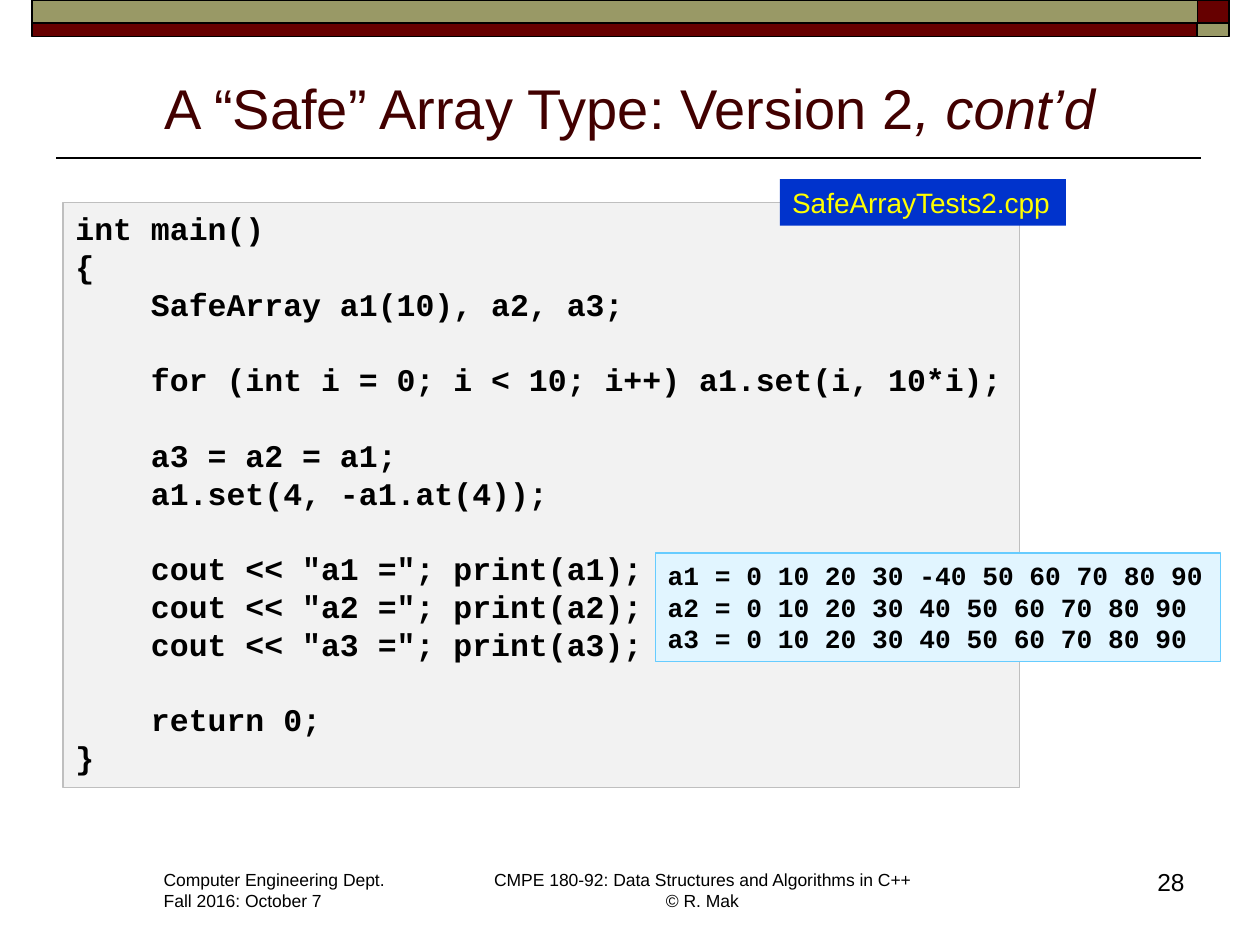
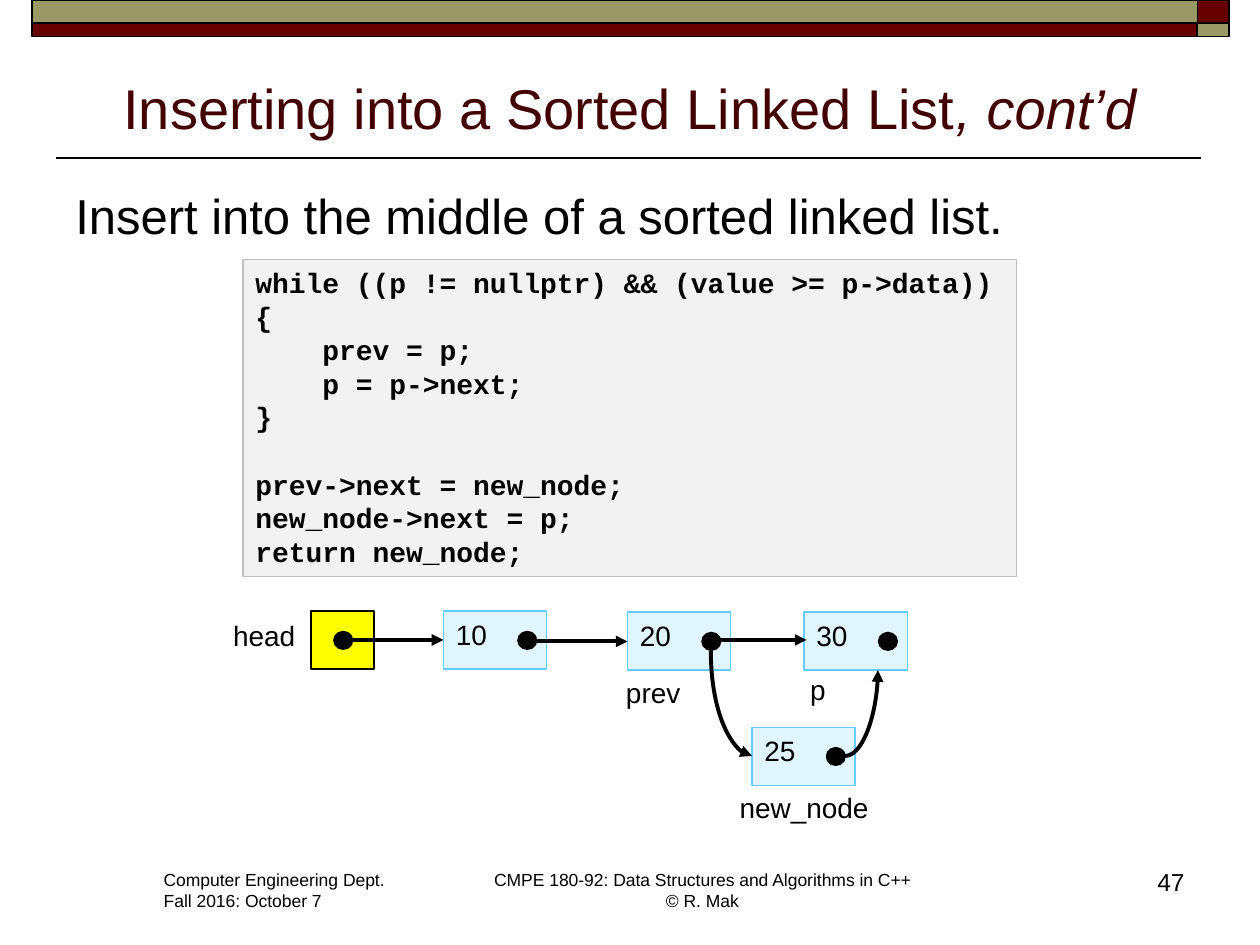
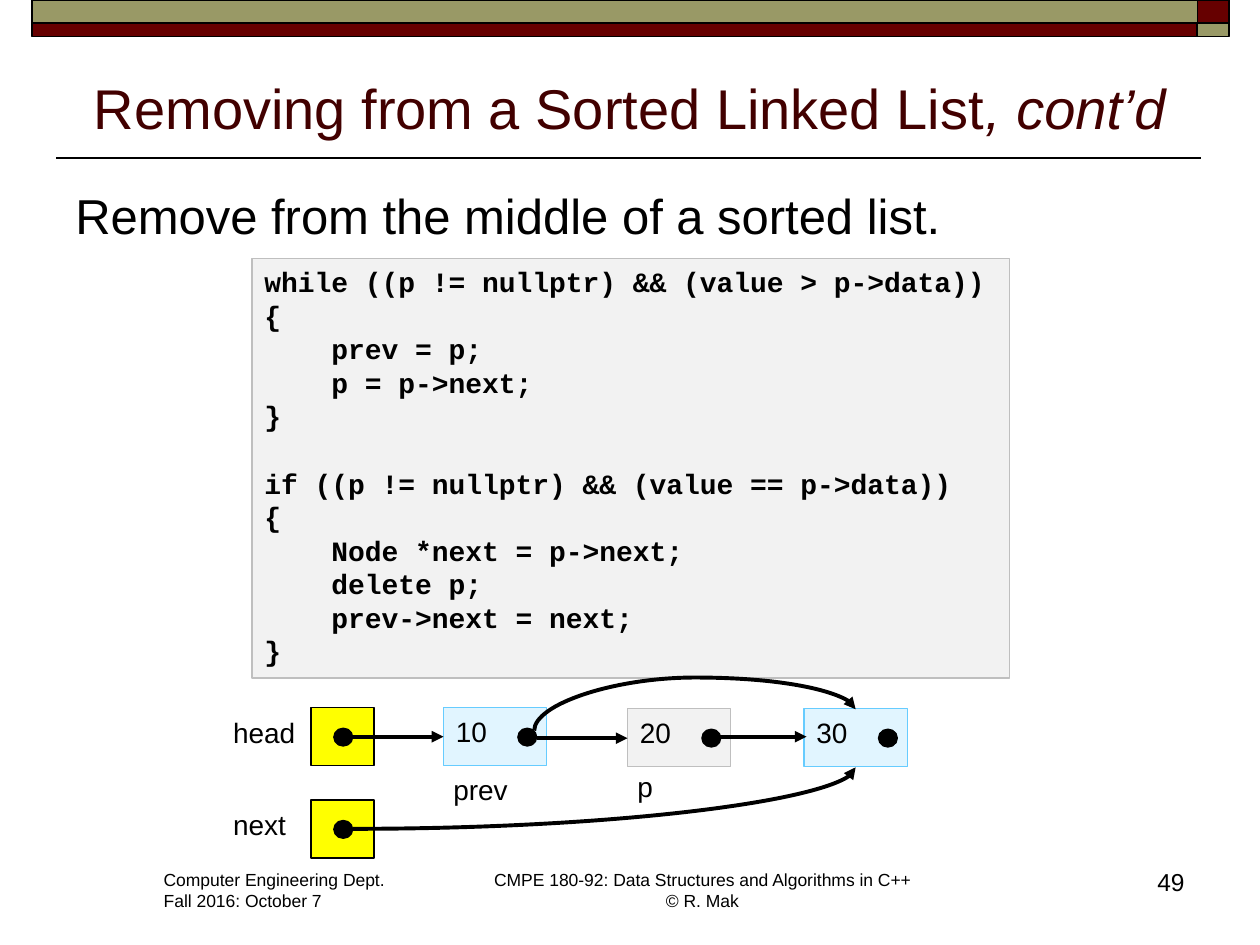
from lxml import etree
from pptx import Presentation
from pptx.dml.color import RGBColor
from pptx.enum import shapes, text
from pptx.oxml import ns
from pptx.util import Cm, Pt

RECT, OVAL = shapes.MSO_SHAPE.RECTANGLE, shapes.MSO_SHAPE.OVAL
LEFT, CENTER, RIGHT = text.PP_ALIGN.LEFT, text.PP_ALIGN.CENTER, text.PP_ALIGN.RIGHT

MAROON, OLIVE, TITLE, BLACK = "660000", "999966", "420000", "000000"
YELLOW, BLUE = "FFFF00", "0033CC"
GRAY_BOX = ("F2F2F2", "BFBFBF")
SKY_BOX = ("E1F5FF", "66CCFF")

# Content: positions and sizes are in centimetres
BANDS = [
    ((24.13, 0, 0.64, 0.46), MAROON), ((0.64, 0, 23.5, 0.46), OLIVE),
    ((0.64, 0.46, 23.5, 0.28), MAROON), ((24.13, 0.46, 0.64, 0.28), OLIVE),
]
FOOTERS = [
    ("Computer Engineering Dept.\nFall 2016: October 7", (3.05, 17.4, 5.03, 1.12), LEFT),
    ("CMPE 180-92: Data Structures and Algorithms in C++\v© R. Mak",
     (9.65, 17.4, 9.02, 1.12), CENTER),
]

TEST_CODE = """int main()
{
    SafeArray a1(10), a2, a3;

    for (int i = 0; i < 10; i++) a1.set(i, 10*i);

    a3 = a2 = a1;
    a1.set(4, -a1.at(4));

    cout << "a1 ="; print(a1);
    cout << "a2 ="; print(a2);
    cout << "a3 ="; print(a3);

    return 0;
}"""
TEST_OUTPUT = """a1 = 0 10 20 30 -40 50 60 70 80 90
a2 = 0 10 20 30 40 50 60 70 80 90
a3 = 0 10 20 30 40 50 60 70 80 90"""
INSERT_CODE = """while ((p != nullptr) && (value >= p->data))
{
    prev = p;
    p = p->next;
}

prev->next = new_node;
new_node->next = p;
return new_node;"""
REMOVE_CODE = """while ((p != nullptr) && (value > p->data))
{
    prev = p;
    p = p->next;
}

if ((p != nullptr) && (value == p->data))
{
    Node *next = p->next;
    delete p;
    prev->next = next;
}"""

# Linked list: columns shared by both diagrams, y relative to the chain's top
CHAIN = [("10", 8.94, 0), ("20", 12.65, 0.02), ("30", 16.21, 0.02)]
ARROWS = [(7.11, 0.58), (10.82, 0.61), (14.43, 0.58)]
ARROW_LENGTH = 1.83
POINTER_LEFT, NAME_LEFT = 6.27, 4.45
CELL_HEIGHT = 1.17

# Labels: text, left, top, width
INSERT_LABELS = [("new_node", 14.66, 15.82, 3.12), ("prev", 12.37, 13.49, 1.63),
                 ("p", 16.08, 13.44, 0.84)]
REMOVE_LABELS = [("prev", 8.89, 15.44, 1.63), ("p", 12.6, 15.39, 0.84)]

# Curves: start, end, quarter turns, flips, bend (None for a single bend)
INSERT_CURVES = [((14.33, 13.11), (15.16, 15.24), 3, "H", None),
                 ((17.04, 15.24), (17.7, 13.51), 0, "V", None)]
REMOVE_CURVES = [((7.11, 16.71), (17.25, 15.47), 0, "V", None),
                 ((10.77, 14.73), (17.25, 14.3), 1, "HV", 249000)]


def rgb(color):
    return RGBColor.from_string(color)


def add_xml(parent, tag, **attributes):
    return etree.SubElement(parent, ns.qn(tag), attributes)


def write(box, words, size, color=BLACK, font="Arial", bold=False, align=LEFT, wrap=False):
    frame = box.text_frame
    frame.word_wrap = wrap
    frame.vertical_anchor = text.MSO_ANCHOR.TOP
    frame.text = words
    for para in frame.paragraphs:
        para.alignment = align
        style = para.font
        style.name, style.size, style.bold = font, Pt(size), bold
        style.color.rgb = rgb(color)


def add_text(page, place, words, size, **style):
    box = page.shapes.add_textbox(*map(Cm, place))
    write(box, words, size, **style)
    return box


def add_block(page, place, fill, line=None, width=0.75, kind=RECT):
    block = page.shapes.add_shape(kind, *map(Cm, place))
    block.shadow.inherit = False
    block.fill.solid()
    block.fill.fore_color.rgb = rgb(fill)
    if line:
        block.line.color.rgb = rgb(line)
        block.line.width = Pt(width)
    else:
        block.line.fill.background()
    return block


def add_code(page, place, code, size, colors=GRAY_BOX):
    # A blank code line becomes a line break at the start of the next line
    write(add_block(page, place, *colors), code.replace("\n\n", "\n\v"), size,
          font="Courier New", bold=True)


def add_line(page, start, end, width, arrow=False, kind=shapes.MSO_CONNECTOR.STRAIGHT):
    line = page.shapes.add_connector(kind, *map(Cm, start + end))
    line.line.color.rgb = rgb(BLACK)
    line.line.width = Pt(width)
    if arrow:
        add_xml(line.line._get_or_add_ln(), "a:tailEnd", type="triangle")
    add_xml(line._element.spPr, "a:effectLst")
    return line


def add_curve(page, start, end, turns, flips, bend):
    curve = add_line(page, start, end, 2.25, True, shapes.MSO_CONNECTOR.CURVE)
    width, height = abs(end[0] - start[0]), abs(end[1] - start[1])
    middle = (start[0] + end[0]) / 2, (start[1] + end[1]) / 2
    if turns % 2:
        width, height = height, width
    curve.left, curve.top = Cm(middle[0] - width / 2), Cm(middle[1] - height / 2)
    curve.width, curve.height = Cm(width), Cm(height)
    frame = curve._element.spPr.find(ns.qn("a:xfrm"))
    frame.set("rot", str(turns * 5400000))
    for axis in "HV":
        frame.set("flip" + axis, str(int(axis in flips)))
    shape = curve._element.spPr.find(ns.qn("a:prstGeom"))
    if bend is None:
        shape.set("prst", "curvedConnector2")
    else:
        guides = shape.find(ns.qn("a:avLst"))
        add_xml(guides, "a:gd", name="adj1", fmla=f"val {bend}")


def add_cell(page, left, top, width, dot_offset, colors):
    cell = add_block(page, (left, top, width, CELL_HEIGHT), *colors)
    add_block(page, (left + dot_offset, top + 0.41, 0.38, 0.36), BLACK, BLACK, kind=OVAL)
    return cell


def add_node(page, value, left, top, colors=SKY_BOX):
    write(add_cell(page, left, top, 2.08, 1.5, colors), value, 16, wrap=True)


def add_label(page, words, left, top, width):
    add_text(page, (left, top, width, 0.94), words, 16)


def add_pointer(page, name, top):
    add_cell(page, POINTER_LEFT, top, 1.27, 0.46, (YELLOW, BLACK))
    add_label(page, name, NAME_LEFT, top + 0.02, 1.78)


def add_chain(page, top, labels, curves, removed=None):
    add_pointer(page, "head", top)
    for value, left, drop in CHAIN:
        add_node(page, value, left, top + drop, GRAY_BOX if value == removed else SKY_BOX)
    for left, drop in ARROWS:
        add_line(page, (left, top + drop), (left + ARROW_LENGTH, top + drop), 2.25, True)
    for label in labels:
        add_label(page, *label)
    for curve in curves:
        add_curve(page, *curve)


def add_bullet(page, words):
    box = page.shapes.add_textbox(*map(Cm, (1.27, 3.61, 22.86, 1.6)))
    props = box.text_frame.paragraphs[0]._p.get_or_add_pPr()
    props.set("marL", str(Cm(1.3)))
    props.set("indent", str(-Cm(1.3)))
    add_xml(add_xml(props, "a:buClr"), "a:srgbClr", val=MAROON)
    add_xml(props, "a:buSzPct", val="70000")
    add_xml(props, "a:buFont", typeface="Arial")
    add_xml(props, "a:buChar", char="□")
    write(box, words, 28, wrap=True)


def add_page(deck, title, number):
    page = deck.slides.add_slide(deck.slide_layouts[6])
    # Bands, rule and footers
    add_line(page, (24.21, 3.18), (1.12, 3.18), 1)
    for place, color in BANDS:
        add_block(page, place, color, BLACK, 1)
    for words, place, align in FOOTERS:
        add_text(page, place, words, 10, align=align)
    add_text(page, (18.85, 17.35, 5.28, 1.27), str(number), 14, align=RIGHT, wrap=True)
    # Title
    box = add_text(page, (1.27, 1.14, 22.86, 1.83), title, 32, color=TITLE,
                   align=CENTER, wrap=True)
    box.text_frame.vertical_anchor = text.MSO_ANCHOR.BOTTOM
    span = box.text_frame.paragraphs[0].add_run()
    span.text = ", cont’d"
    span.font.italic = True
    return page


def main():
    deck = Presentation()
    deck.slide_width, deck.slide_height = Cm(25.4), Cm(19.05)

    # Safe array test
    page = add_page(deck, "A “Safe” Array Type: Version 2", 28)
    add_code(page, (1.27, 4.09, 19.28, 11.79), TEST_CODE, 18)
    add_code(page, (13.21, 11.15, 11.4, 2.18), TEST_OUTPUT, 15, SKY_BOX)
    file_tag = add_block(page, (15.72, 3.61, 5.77, 0.94), BLUE)
    write(file_tag, "SafeArrayTests2.cpp", 16, color=YELLOW)

    # Insertion
    page = add_page(deck, "Inserting into a Sorted Linked List", 47)
    add_bullet(page, "Insert into the middle of a sorted linked list.")
    add_code(page, (4.9, 5.23, 15.6, 6.4), INSERT_CODE, 16)
    add_node(page, "25", 15.16, 14.66)
    add_chain(page, 12.32, INSERT_LABELS, INSERT_CURVES)

    # Removal
    page = add_page(deck, "Removing from a Sorted Linked List", 49)
    add_bullet(page, "Remove from the middle of a sorted list.")
    add_code(page, (5.08, 5.21, 15.27, 8.46), REMOVE_CODE, 16)
    add_pointer(page, "next", 16.13)
    add_chain(page, 14.27, REMOVE_LABELS, REMOVE_CURVES, removed="20")

    deck.save("out.pptx")


if __name__ == "__main__":
    main()
